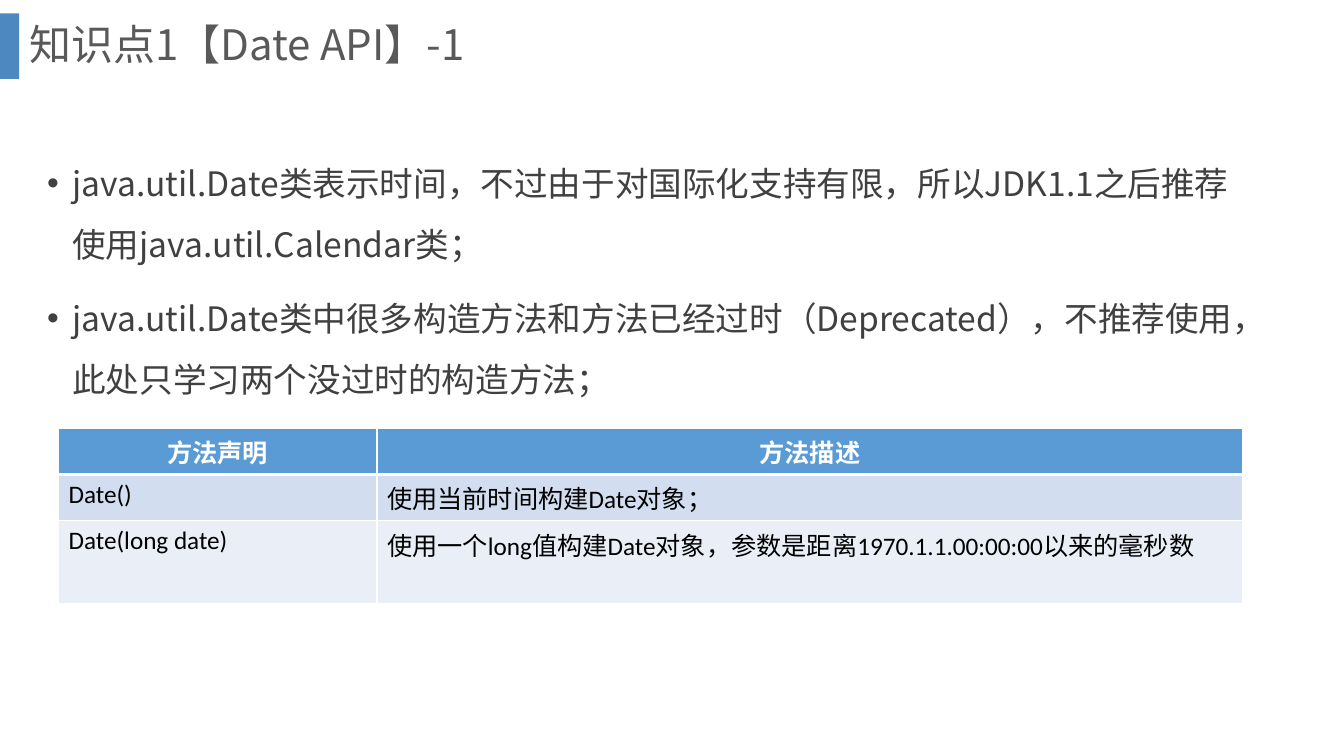
from dataclasses import dataclass

from lxml.etree import SubElement
from pptx import Presentation
from pptx.dml.color import RGBColor
from pptx.enum.shapes import MSO_SHAPE
from pptx.enum.text import MSO_ANCHOR, PP_ALIGN
from pptx.oxml import parse_xml
from pptx.oxml.ns import nsdecls, qn
from pptx.slide import Slide
from pptx.table import _Cell
from pptx.text.text import TextFrame, _Paragraph
from pptx.util import Pt

WHITE = RGBColor(0xFF, 0xFF, 0xFF)
BLACK = RGBColor(0x00, 0x00, 0x00)
ACCENT = RGBColor(0x2E, 0x75, 0xB6)
TITLE_GRAY = RGBColor(0x59, 0x59, 0x59)
BODY_GRAY = RGBColor(0x40, 0x40, 0x40)
HEADER_BLUE = RGBColor(0x5B, 0x9B, 0xD5)
BAND_DARK = RGBColor(0xD2, 0xDE, 0xEF)
BAND_LIGHT = RGBColor(0xEA, 0xEF, 0xF7)

CJK_FONT = "Noto Sans CJK SC"
TABLE_FONT = "Calibri"

TITLE = "知识点1【Date API】-1"
BULLETS = (
    "java.util.Date类表示时间，不过由于对国际化支持有限，所以JDK1.1之后推荐使用java.util.Calendar类；",
    "java.util.Date类中很多构造方法和方法已经过时（Deprecated），不推荐使用，此处只学习两个没过时的构造方法；",
)
COLUMN_WIDTHS = (227.5, 618.5)
ONE_LINE = 33
TWO_LINES = 59


@dataclass(frozen=True)
class Box:
    left: float
    top: float
    width: float
    height: float

    def lengths(self) -> tuple[Pt, Pt, Pt, Pt]:
        return Pt(self.left), Pt(self.top), Pt(self.width), Pt(self.height)


@dataclass(frozen=True)
class MethodRow:
    declaration: str
    description: str
    fill: RGBColor
    height: float = ONE_LINE
    header: bool = False


METHOD_ROWS = (
    MethodRow("方法声明", "方法描述", HEADER_BLUE, header=True),
    MethodRow("Date()", "使用当前时间构建Date对象；", BAND_DARK),
    MethodRow("Date(long date)",
              "使用一个long值构建Date对象，参数是距离1970.1.1.00:00:00以来的毫秒数",
              BAND_LIGHT, height=TWO_LINES),
)


def write(p: _Paragraph, text: str, *, size: float, color: RGBColor,
          font: str = CJK_FONT, bold: bool = False,
          align: PP_ALIGN = PP_ALIGN.LEFT, line_spacing: float = 1.0,
          space_before: float = 0) -> None:
    p.alignment = align
    p.line_spacing = line_spacing
    p.space_before = Pt(space_before)
    r = p.add_run()
    r.text = text
    r.font.size = Pt(size)
    r.font.bold = bold
    r.font.color.rgb = color
    r.font.name = font
    SubElement(r.font._element, qn("a:ea"), typeface=CJK_FONT)


def add_bullet(p: _Paragraph, indent: float) -> None:
    pPr = p._p.get_or_add_pPr()
    pPr.set("marL", str(Pt(indent)))
    pPr.set("indent", str(Pt(-indent)))
    SubElement(pPr, qn("a:buFont"), typeface="Arial")
    SubElement(pPr, qn("a:buChar"), char="•")


def add_text_frame(s: Slide, box: Box) -> TextFrame:
    tf = s.shapes.add_textbox(*box.lengths()).text_frame
    tf.word_wrap = True
    return tf


def set_borders(cell: _Cell, bottom: float) -> None:
    tcPr = cell._tc.get_or_add_tcPr()
    widths = {"lnL": 1, "lnR": 1, "lnT": 1, "lnB": bottom}
    for i, (side, width) in enumerate(widths.items()):
        tcPr.insert(i, parse_xml(
            f'<a:{side} {nsdecls("a")} w="{Pt(width)}"><a:solidFill>'
            f'<a:srgbClr val="{WHITE}"/></a:solidFill></a:{side}>'))


def add_accent_bar(s: Slide, box: Box) -> None:
    sp = s.shapes.add_shape(MSO_SHAPE.RECTANGLE, *box.lengths())
    sp.shadow.inherit = False
    sp.line.fill.background()
    sp.fill.solid()
    sp.fill.fore_color.rgb = ACCENT
    color = sp._element.spPr.find(".//" + qn("a:srgbClr"))
    SubElement(color, qn("a:alpha"), val="85000")


def add_title(s: Slide, box: Box) -> None:
    tf = add_text_frame(s, box)
    tf.vertical_anchor = MSO_ANCHOR.MIDDLE
    write(tf.paragraphs[0], TITLE, size=30, color=TITLE_GRAY, line_spacing=0.9)


def add_body(s: Slide, box: Box) -> None:
    tf = add_text_frame(s, box)
    for i, text in enumerate(BULLETS):
        p = tf.add_paragraph() if i else tf.paragraphs[0]
        write(p, text, size=24, color=BODY_GRAY, line_spacing=1.5, space_before=10)
        add_bullet(p, 18)


def add_method_table(s: Slide, left: float, top: float) -> None:
    box = Box(left, top, sum(COLUMN_WIDTHS), sum(m.height for m in METHOD_ROWS))
    table = s.shapes.add_table(
        len(METHOD_ROWS), len(COLUMN_WIDTHS), *box.lengths()).table
    for column, width in zip(table.columns, COLUMN_WIDTHS):
        column.width = Pt(width)
    for row, method in zip(table.rows, METHOD_ROWS):
        row.height = Pt(method.height)
        for cell, text in zip(row.cells, (method.declaration, method.description)):
            cell.fill.solid()
            cell.fill.fore_color.rgb = method.fill
            set_borders(cell, bottom=3 if method.header else 1)
            write(cell.text_frame.paragraphs[0], text, size=18, font=TABLE_FONT,
                  color=WHITE if method.header else BLACK, bold=method.header,
                  align=PP_ALIGN.CENTER if method.header else PP_ALIGN.LEFT)


def main() -> None:
    prs = Presentation()
    prs.slide_width, prs.slide_height = Pt(960), Pt(540)
    s = prs.slides.add_slide(prs.slide_layouts[6])

    # Heading
    add_accent_bar(s, Box(0, 9.6, 13.7, 46.8))
    add_title(s, Box(13.7, 0, 911.5, 67))

    # Explanation and constructors
    add_body(s, Box(26.6, 98.6, 867.6, 206))
    add_method_table(s, 41.8, 306)

    prs.save("out.pptx")


if __name__ == "__main__":
    main()
